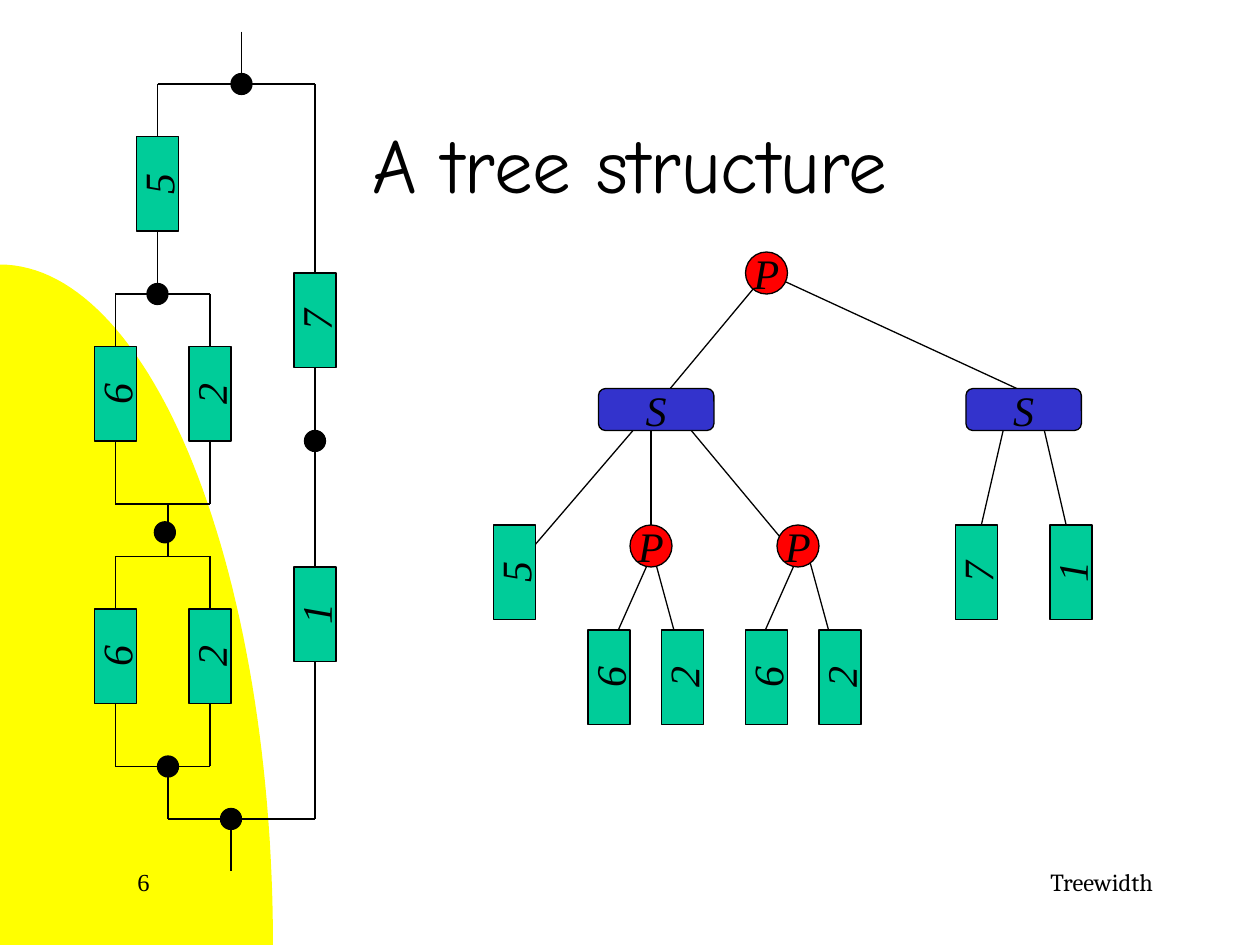
from dataclasses import dataclass
from math import cos, pi, sin

from lxml.etree import SubElement
from pptx import Presentation
from pptx.dml.color import RGBColor
from pptx.enum.shapes import MSO_CONNECTOR as Connector, MSO_SHAPE as Preset
from pptx.enum.text import MSO_ANCHOR as Anchor, MSO_AUTO_SIZE as AutoSize, PP_ALIGN as Align
from pptx.oxml.ns import qn
from pptx.util import Inches, Pt

COLUMNS, ROWS = 120, 90
COLORS = {
    "black": "000000",
    "hill": "FFFF00",
    "edge": "00CC99",
    "parallel": "FF0000",
    "series": "3333CC",
}
FONTS = {
    "title": {"name": "Comic Neue", "size": Pt(44)},
    "label": {"name": "Times New Roman", "size": Pt(24), "italic": True},
    "footer": {"name": "Cambria", "size": Pt(14)},
    "number": {"name": "Times New Roman", "size": Pt(14)},
}


@dataclass(frozen=True)
class NodeStyle:
    preset: Preset
    color: str
    columns: float
    rows: float
    rotation: float = 0


@dataclass(frozen=True)
class Node:
    style: NodeStyle
    column: float
    row: float
    label: str = ""


@dataclass(frozen=True)
class Line:
    column: float
    row: float
    end_column: float
    end_row: float


EDGE = NodeStyle(Preset.RECTANGLE, "edge", 9, 4, 270)
PARALLEL = NodeStyle(Preset.OVAL, "parallel", 4, 4)
SERIES = NodeStyle(Preset.ROUNDED_RECTANGLE, "series", 11, 4)
JOINT = NodeStyle(Preset.OVAL, "black", 2, 2)

LEFT, RIGHT, OUTER = 11, 20, 30
BLOCK_TOPS, BLOCK_HEIGHT = (28, 53), 20

TREE_LINES = [
    Line(73, 26, 63, 38), Line(73, 26, 99, 38),
    Line(62, 39, 50, 53), Line(62, 40, 62, 51), Line(65, 40, 75, 52),
    Line(96, 39, 93, 52), Line(99, 39, 102, 52),
    Line(62, 53, 58, 62), Line(62, 52, 65, 63),
    Line(76, 53, 72, 62), Line(77, 53, 80, 64),
]
CIRCUIT_LINES = [
    Line(23, 3, 23, 8), Line(15, 8, OUTER, 8), Line(15, 8, 15, 28),
    Line(OUTER, 8, OUTER, 78), Line(16, 48, 16, 53), Line(16, 73, 16, 78),
    Line(16, 78, OUTER, 78), Line(22, 78, 22, 83),
]
TREE_NODES = [
    Node(PARALLEL, 73, 26, "P"),
    Node(SERIES, 62.5, 39, "S"), Node(SERIES, 97.5, 39, "S"),
    Node(PARALLEL, 62, 52, "P"), Node(PARALLEL, 76, 52, "P"),
    Node(EDGE, 49, 54.5, "5"), Node(EDGE, 93, 54.5, "7"), Node(EDGE, 102, 54.5, "1"),
    Node(EDGE, 58, 64.5, "6"), Node(EDGE, 65, 64.5, "2"),
    Node(EDGE, 73, 64.5, "6"), Node(EDGE, 80, 64.5, "2"),
]
CIRCUIT_NODES = [
    Node(EDGE, 15, 17.5, "5"), Node(EDGE, OUTER, 30.5, "7"), Node(EDGE, OUTER, 58.5, "1"),
    Node(JOINT, 23, 8), Node(JOINT, 15, 28), Node(JOINT, 15.7, 50.7),
    Node(JOINT, 16, 73), Node(JOINT, OUTER, 42), Node(JOINT, 22, 78),
]

presentation = Presentation()
presentation.slide_width, presentation.slide_height = Inches(10), Inches(7.5)
slide = presentation.slides.add_slide(presentation.slide_layouts[5])


def across(columns: float) -> int:
    return round(presentation.slide_width * columns / COLUMNS)


def down(rows: float) -> int:
    return round(presentation.slide_height * rows / ROWS)


def color(name: str) -> RGBColor:
    return RGBColor.from_string(COLORS[name])


def write(shape, text: str, font: str, align: Align, anchor: Anchor, wrap: bool):
    frame = shape.text_frame
    frame.text = text
    settings = {"vertical_anchor": anchor, "word_wrap": wrap, "auto_size": AutoSize.NONE}
    for name, value in settings.items():
        setattr(frame, name, value)
    paragraph = frame.paragraphs[0]
    paragraph.alignment = align
    run_font = paragraph.runs[0].font
    for name, value in FONTS[font].items():
        setattr(run_font, name, value)
    run_font.color.rgb = color("black")


def place(shape, left: float, top: float, columns: float, rows: float):
    box = {"left": across(left), "top": down(top), "width": across(columns), "height": down(rows)}
    for name, value in box.items():
        setattr(shape, name, value)


def draw_hill(radius_columns: float, radius_rows: float, steps: int = 60):
    angles = [pi / 2 * step / steps for step in range(steps + 1)]
    points = [
        (across(radius_columns * sin(angle)), down(ROWS - radius_rows * cos(angle)))
        for angle in angles
    ]
    builder = slide.shapes.build_freeform(*points[0])
    builder.add_line_segments(points[1:] + [(0, down(ROWS))])
    hill = builder.convert_to_shape()
    hill.shadow.inherit = False
    hill.fill.solid()
    hill.fill.fore_color.rgb = color("hill")
    hill.line.fill.background()


def draw_line(line: Line):
    connector = slide.shapes.add_connector(
        Connector.STRAIGHT, across(line.column), down(line.row),
        across(line.end_column), down(line.end_row),
    )
    connector.line.color.rgb = color("black")
    connector.line.width = Pt(0.75)
    SubElement(connector.element.spPr, qn("a:effectLst"))


def draw_node(node: Node):
    style = node.style
    shape = slide.shapes.add_shape(style.preset, 0, 0, 0, 0)
    place(shape, node.column - style.columns / 2, node.row - style.rows / 2,
          style.columns, style.rows)
    shape.rotation = style.rotation
    shape.shadow.inherit = False
    shape.fill.solid()
    shape.fill.fore_color.rgb = color(style.color)
    shape.line.color.rgb = color("black")
    shape.line.width = Pt(0.75)
    if node.label:
        write(shape, node.label, "label", Align.CENTER, Anchor.MIDDLE, False)


def draw_footer(text: str, font: str, left: float, columns: float, align: Align):
    box = slide.shapes.add_textbox(0, 0, 0, 0)
    place(box, left, 82, columns, 6)
    write(box, text, font, align, Anchor.TOP, True)
    return box


draw_hill(26, 64.8)
title = slide.shapes.title
place(title, 9, 8, 102, 15)
write(title, "A tree structure", "title", Align.CENTER, Anchor.MIDDLE, True)

block_lines, block_nodes = [], []
for top in BLOCK_TOPS:
    bottom = top + BLOCK_HEIGHT
    block_lines += [Line(LEFT, row, RIGHT, row) for row in (top, bottom)]
    for column, label in ((LEFT, "6"), (RIGHT, "2")):
        block_lines.append(Line(column, top, column, bottom))
        block_nodes.append(Node(EDGE, column, top + 9.5, label))

for line in TREE_LINES + CIRCUIT_LINES + block_lines:
    draw_line(line)
for node in TREE_NODES + block_nodes + CIRCUIT_NODES:
    draw_node(node)

draw_footer("Treewidth", "footer", 66, 45, Align.RIGHT)
number = draw_footer("6", "number", 9, 25, Align.LEFT)
number.text_frame.margin_left = Inches(0.34)

presentation.save("out.pptx")
